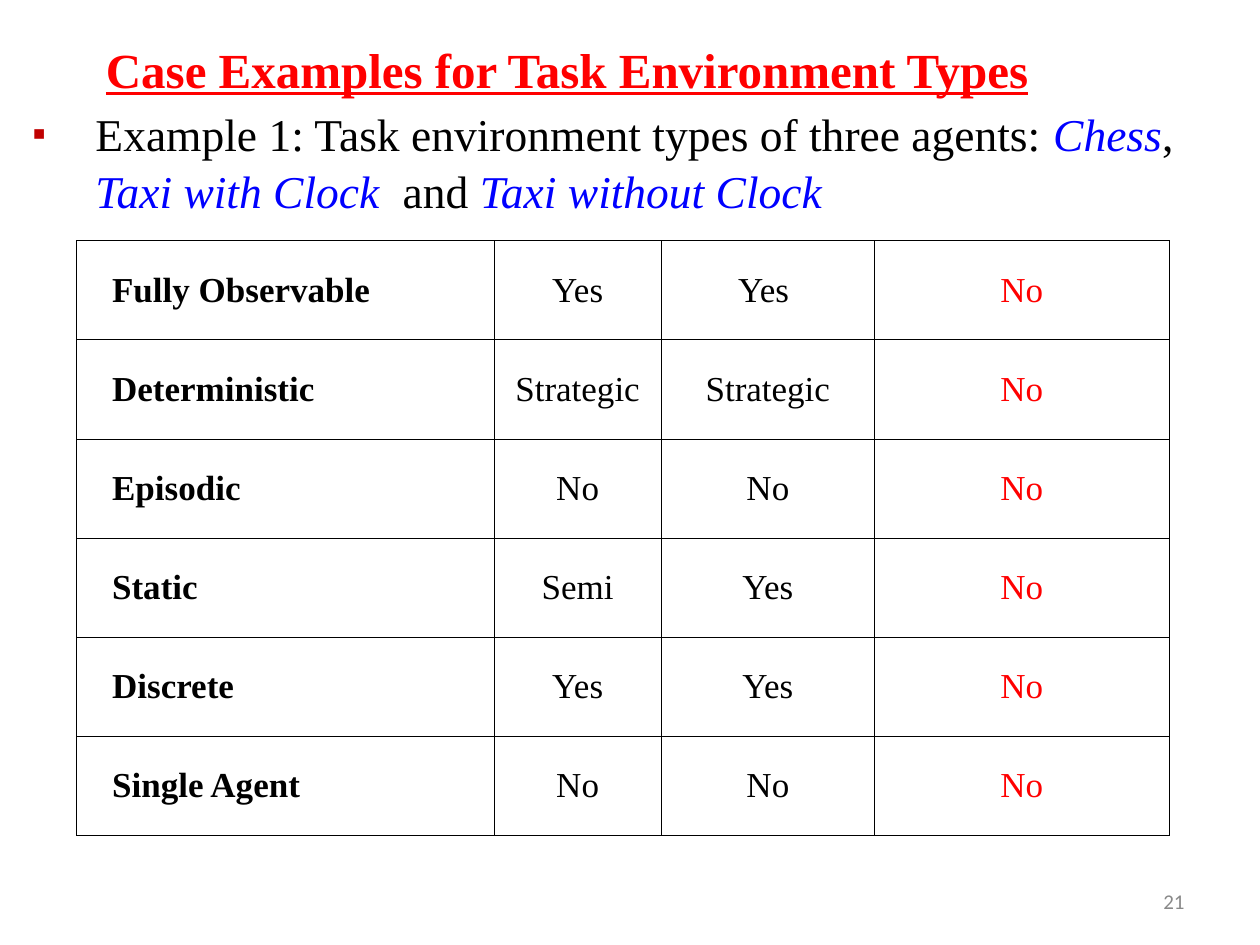
from dataclasses import dataclass
from typing import Optional

from lxml.etree import SubElement
from pptx import Presentation
from pptx.dml.color import RGBColor
from pptx.enum.text import MSO_ANCHOR as Anchor, PP_ALIGN as Align
from pptx.oxml.ns import qn
from pptx.util import Inches, Pt

RED = RGBColor(0xFF, 0x00, 0x00)
BLUE = RGBColor(0x00, 0x00, 0xFF)
BLACK = RGBColor(0x00, 0x00, 0x00)
GREY = RGBColor(0x89, 0x89, 0x89)
BULLET_RED = RGBColor(0xC0, 0x00, 0x00)

SERIF = "Times New Roman"
COLUMN_WIDTHS = (3.31, 1.33, 1.69, 2.34)
ROW_HEIGHT = 4.72 / 6
BORDER_WIDTH = Pt(0.45)


@dataclass(frozen=True)
class Style:
    size: float
    color: RGBColor
    name: str = SERIF
    bold: bool = False
    underline: bool = False


@dataclass(frozen=True)
class Label:
    left: float
    top: float
    width: float
    height: float
    style: Style
    align: Optional[Align] = None
    anchor: Anchor = Anchor.TOP
    text: str = ""


@dataclass(frozen=True)
class Property:
    name: str
    chess_with_clock: str
    chess_without_clock: str
    taxi: str = "No"


TITLE = Label(0.25, 0.28, 8.5, 0.53, Style(28, RED, bold=True, underline=True),
              Align.CENTER, Anchor.MIDDLE, "Case Examples for Task Environment Types")
PAGE_NUMBER = Label(7.17, 6.95, 2.33, 0.4, Style(12, GREY, "Calibri"),
                    Align.RIGHT, Anchor.MIDDLE, "21")
EXAMPLE = Label(0.16, 0.77, 9.57, 0.97, Style(26, BLACK))
EXAMPLE_SPANS = (
    ("Example 1: Task environment types of three agents: ", False),
    ("Chess", True),
    (", ", False),
    ("Taxi with Clock  ", True),
    ("and ", False),
    ("Taxi without Clock", True),
)

PROPERTIES = (
    Property("Fully Observable", "Yes", "Yes "),
    Property("Deterministic", "Strategic", "Strategic"),
    Property("Episodic", "No", "No"),
    Property("Static", "Semi", "Yes"),
    Property("Discrete", "Yes", "Yes"),
    Property("Single Agent", "No", "No"),
)

NAME_STYLE = Style(20, BLACK, bold=True)
VALUE_STYLE = Style(20, BLACK)
TAXI_STYLE = Style(20, RED)
COLUMN_STYLES = (NAME_STYLE, VALUE_STYLE, VALUE_STYLE, TAXI_STYLE)


def set_font(para, style: Style) -> None:
    font = para.font
    font.name = style.name
    font.size = Pt(style.size)
    font.bold = style.bold
    font.underline = style.underline
    font.color.rgb = style.color


def add_label(page, label: Label):
    box = page.shapes.add_textbox(Inches(label.left), Inches(label.top),
                                  Inches(label.width), Inches(label.height))
    frame = box.text_frame
    frame.word_wrap = True
    frame.vertical_anchor = label.anchor
    para = frame.paragraphs[0]
    para.alignment = label.align
    if label.text:
        para.add_run().text = label.text
    set_font(para, label.style)
    return para


def add_bullet(para, char: str, indent: float) -> None:
    properties = para._p.get_or_add_pPr()
    properties.set("marL", str(Inches(indent)))
    properties.set("indent", str(-Inches(indent)))
    color = SubElement(properties, qn("a:buClr"))
    SubElement(color, qn("a:srgbClr"), val=str(BULLET_RED))
    SubElement(properties, qn("a:buSzPct"), val="85000")
    SubElement(properties, qn("a:buFont"), typeface=SERIF)
    SubElement(properties, qn("a:buChar"), char=char)


def add_example(page) -> None:
    para = add_label(page, Label(EXAMPLE.left, EXAMPLE.top, EXAMPLE.width,
                                 EXAMPLE.height, EXAMPLE.style))
    properties = para._p.get_or_add_pPr()
    for child in list(properties):
        properties.remove(child)
    add_bullet(para, "▪", 0.5)
    para.line_spacing = 1.05
    set_font(para, EXAMPLE.style)
    for text, is_agent in EXAMPLE_SPANS:
        span = para.add_run()
        span.text = text
        span.font.italic = is_agent
        span.font.color.rgb = BLUE if is_agent else BLACK


def add_borders(cell) -> None:
    properties = cell._tc.get_or_add_tcPr()
    for side in ("lnL", "lnR", "lnT", "lnB"):
        line = SubElement(properties, qn(f"a:{side}"), w=str(BORDER_WIDTH))
        fill = SubElement(line, qn("a:solidFill"))
        SubElement(fill, qn("a:srgbClr"), val=str(BLACK))


def fill_cell(cell, text: str, style: Style) -> None:
    add_borders(cell)
    cell.fill.background()
    cell.vertical_anchor = Anchor.MIDDLE
    para = cell.text_frame.paragraphs[0]
    para.add_run().text = text
    if style is NAME_STYLE:
        para._p.get_or_add_pPr().set("marL", str(Inches(0.18)))
    else:
        para.alignment = Align.CENTER
    set_font(para, style)


def add_property_table(page) -> None:
    table = page.shapes.add_table(
        len(PROPERTIES), len(COLUMN_WIDTHS), Inches(0.61), Inches(1.91),
        Inches(sum(COLUMN_WIDTHS)), Inches(ROW_HEIGHT * len(PROPERTIES))).table
    table.first_row = False
    table.horz_banding = False
    for column, width in zip(table.columns, COLUMN_WIDTHS):
        column.width = Inches(width)
    for row, item in zip(table.rows, PROPERTIES):
        row.height = Inches(ROW_HEIGHT)
        texts = (item.name, item.chess_with_clock, item.chess_without_clock, item.taxi)
        for cell, text, style in zip(row.cells, texts, COLUMN_STYLES):
            fill_cell(cell, text, style)


def main() -> None:
    deck = Presentation()
    deck.slide_width = Inches(10)
    deck.slide_height = Inches(7.5)
    page = deck.slides.add_slide(deck.slide_layouts[6])
    add_label(page, TITLE)
    add_label(page, PAGE_NUMBER)
    add_property_table(page)
    add_example(page)
    deck.save("out.pptx")


if __name__ == "__main__":
    main()
